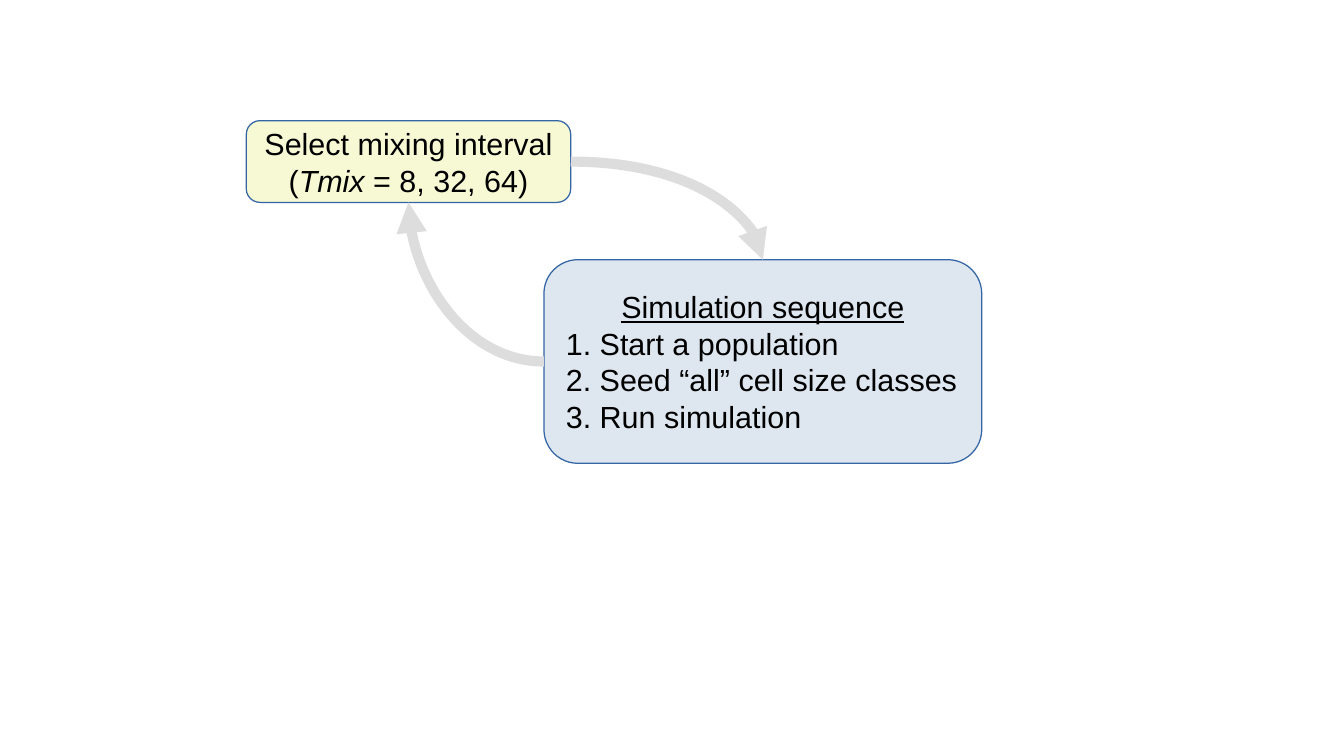
from lxml.etree import SubElement
from pptx import Presentation
from pptx.dml.color import RGBColor
from pptx.enum.shapes import MSO_CONNECTOR as Connector, MSO_SHAPE as Shape
from pptx.enum.text import MSO_ANCHOR as Anchor, PP_ALIGN as Align
from pptx.oxml.ns import qn
from pptx.util import Inches, Pt

COLORS = {
    "interval": "F6F9D4",
    "simulation": "DEE6EF",
    "outline": "3465A4",
    "arrow": "DDDDDD",
    "text": "000000",
}
FONT = {"name": "Arial", "size": Pt(18)}
FRAME = {
    "word_wrap": True,
    "vertical_anchor": Anchor.MIDDLE,
    "margin_left": Inches(0.1),
    "margin_right": Inches(0.1),
    "margin_top": Inches(0.05),
    "margin_bottom": Inches(0.05),
}
TOP, LEFT, BOTTOM, RIGHT = range(4)


def apply(target, values):
    for key, value in values.items():
        setattr(target, key, value)


def color(key):
    return RGBColor.from_string(COLORS[key])


class CycleSlide:
    def __init__(self, prs):
        self.slide = prs.slides.add_slide(prs.slide_layouts[6])

    def step(self, bounds, fill, paragraphs):
        """Add a rounded box; each paragraph is (alignment, [(text, font values)])."""
        box = self.slide.shapes.add_shape(
            Shape.ROUNDED_RECTANGLE, *(Inches(v) for v in bounds))
        box.shadow.inherit = False
        box.fill.solid()
        box.fill.fore_color.rgb = color(fill)
        box.line.color.rgb = color("outline")
        box.line.width = Pt(0)
        frame = box.text_frame
        apply(frame, FRAME)
        for i, (alignment, runs) in enumerate(paragraphs):
            paragraph = frame.add_paragraph() if i else frame.paragraphs[0]
            paragraph.alignment = alignment
            for text, emphasis in runs:
                run = paragraph.add_run()
                run.text = text
                apply(run.font, FONT | emphasis)
                run.font.color.rgb = color("text")
        return box

    def curved_arrow(self, source, source_side, target, target_side):
        """Join two boxes with a quarter bend that leaves sideways."""
        arrow = self.slide.shapes.add_connector(Connector.CURVE, 0, 0, 0, 0)
        arrow.begin_connect(source, source_side)
        arrow.end_connect(target, target_side)
        arrow.line.color.rgb = color("arrow")
        arrow.line.width = Pt(6)
        properties = arrow._element.spPr
        properties.find(qn("a:prstGeom")).set("prst", "curvedConnector2")
        SubElement(properties.find(qn("a:ln")), qn("a:tailEnd"), type="triangle")
        SubElement(properties, qn("a:effectLst"))


def main():
    prs = Presentation()
    prs.slide_width, prs.slide_height = Inches(11.02), Inches(6.2)
    cycle = CycleSlide(prs)

    simulation = cycle.step((4.46, 2.13, 3.59, 1.67), "simulation", [
        (Align.CENTER, [("Simulation sequence", {"underline": True})]),
        (Align.LEFT, [("1. Start a population", {})]),
        (Align.LEFT, [("2. Seed “all” cell size classes", {})]),
        (Align.LEFT, [("3. Run simulation", {})]),
    ])
    interval = cycle.step((2.02, 0.99, 2.66, 0.67), "interval", [
        (Align.CENTER, [("Select mixing interval", {})]),
        (Align.CENTER, [("(", {}), ("Tmix", {"italic": True}),
                        (" = 8, 32, 64)", {})]),
    ])

    cycle.curved_arrow(interval, RIGHT, simulation, TOP)
    cycle.curved_arrow(simulation, LEFT, interval, BOTTOM)
    prs.save("out.pptx")


if __name__ == "__main__":
    main()
